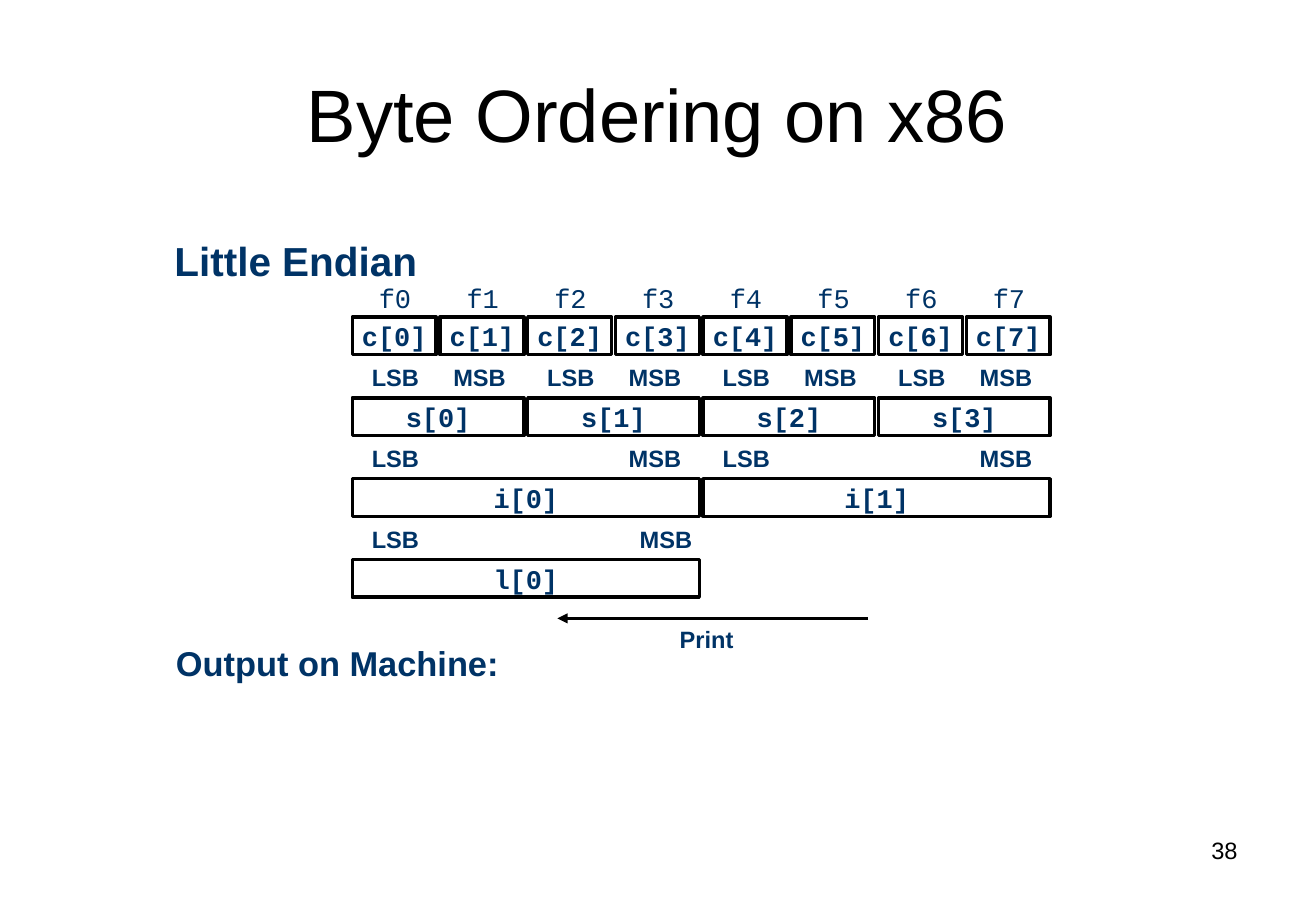
import pptx
import pptx.dml.color
import pptx.enum.shapes
import pptx.enum.text
import pptx.oxml
import pptx.oxml.ns
import pptx.util

Cm, Pt = pptx.util.Cm, pptx.util.Pt
ALIGN = pptx.enum.text.PP_ALIGN
MIDDLE = pptx.enum.text.MSO_ANCHOR.MIDDLE

BLACK = pptx.dml.color.RGBColor(0x00, 0x00, 0x00)
WHITE = pptx.dml.color.RGBColor(0xFF, 0xFF, 0xFF)
NAVY = pptx.dml.color.RGBColor(0x00, 0x33, 0x66)

# Memory grid, in cm
LEFT, TOP = 7.37, 6.63
GRID_WIDTH, BYTES = 14.68, 8
BYTE_PITCH, ROW_PITCH = GRID_WIDTH / BYTES, 1.69
CELL_GAP, CELL_HEIGHT = 0.08, 0.79
LABEL_RISE, LABEL_HEIGHT = 0.85, 0.84

# Name, bytes per element, element count, shift of the MSB label
ROWS = [
    ("c", 1, 8, 0),
    ("s", 2, 4, 0),
    ("i", 4, 2, 0),
    ("l", 4, 1, 0.23),
]

TITLE = {"name": "Arial", "size": Pt(44)}
NUMBER = {"name": "Arial", "size": Pt(14)}
HEADING = {"name": "Arial", "size": Pt(24), "bold": True}
SUBHEADING = {"name": "Arial", "size": Pt(20.4), "bold": True}
LABEL = {"name": "Arial", "size": Pt(14), "bold": True}
ADDRESS = {"name": "Courier New", "size": Pt(16)}
CELL = {"name": "Courier New", "size": Pt(16), "bold": True}


class SlideBuilder:
    def __init__(self, slide):
        self.shapes = slide.shapes
        self.line_width = Pt(2)

    def set_text(self, sp, text, font, color, wrap, anchor=None, **paragraph):
        """Fill a shape with one formatted paragraph."""
        tf = sp.text_frame
        tf.word_wrap = wrap
        if anchor is not None:
            tf.vertical_anchor = anchor
        p = tf.paragraphs[0]
        for key, value in paragraph.items():
            setattr(p, key, value)
        r = p.add_run()
        r.text = text
        for key, value in font.items():
            setattr(r.font, key, value)
        r.font.color.rgb = color

    def text(self, text, x, y, w, h, font, color=NAVY, wrap=True, **layout):
        sp = self.shapes.add_textbox(Cm(x), Cm(y), Cm(w), Cm(h))
        self.set_text(sp, text, font, color, wrap, **layout)

    def cell(self, text, x, y, w):
        sp = self.shapes.add_shape(pptx.enum.shapes.MSO_SHAPE.RECTANGLE,
                                   Cm(x), Cm(y), Cm(w), Cm(CELL_HEIGHT))
        sp.shadow.inherit = False
        sp.fill.solid()
        sp.fill.fore_color.rgb = WHITE
        sp.line.color.rgb = BLACK
        sp.line.width = self.line_width
        self.set_text(sp, text, CELL, NAVY, False, anchor=MIDDLE,
                      alignment=ALIGN.CENTER)

    def arrow(self, x1, y1, x2, y2):
        line = self.shapes.add_connector(
            pptx.enum.shapes.MSO_CONNECTOR.STRAIGHT,
            Cm(x1), Cm(y1), Cm(x2), Cm(y2))
        line.line.color.rgb = BLACK
        line.line.width = self.line_width
        ln = line.element.spPr.find(pptx.oxml.ns.qn("a:ln"))
        ns = pptx.oxml.ns.nsdecls("a")
        ln.append(pptx.oxml.parse_xml(f'<a:tailEnd {ns} type="triangle"/>'))
        ln.addnext(pptx.oxml.parse_xml(f"<a:effectLst {ns}/>"))


def draw_memory(s):
    for i in range(BYTES):
        s.text(f"f{i}", LEFT + i * BYTE_PITCH + 0.17, 5.77, 1.45, 0.91,
               ADDRESS, alignment=ALIGN.CENTER)

    for row, (name, size, count, msb_shift) in enumerate(ROWS):
        y = TOP + row * ROW_PITCH
        for i in range(count):
            x = LEFT + i * size * BYTE_PITCH
            s.cell(f"{name}[{i}]", x, y, size * BYTE_PITCH - CELL_GAP)
            if size == 1:
                continue
            msb_x = x + (size - 1) * BYTE_PITCH + 0.03 + msb_shift
            for label, label_x, w in (("LSB", x + 0.15, 1.5),
                                      ("MSB", msb_x, 1.6)):
                s.text(label, label_x, y - LABEL_RISE, w, LABEL_HEIGHT, LABEL,
                       wrap=False, alignment=ALIGN.RIGHT)


def main():
    prs = pptx.Presentation()
    prs.slide_width, prs.slide_height = Cm(27.53), Cm(19.05)
    s = SlideBuilder(prs.slides.add_slide(prs.slide_layouts[6]))

    s.text("Byte Ordering on x86", 1.37, 0.76, 24.77, 3.18, TITLE, BLACK,
           anchor=MIDDLE, alignment=ALIGN.CENTER)
    s.text("Little Endian", 3.4, 5, 7.85, 1.14, HEADING, line_spacing=0.8)
    draw_memory(s)
    s.arrow(18.16, 12.93, 11.66, 12.93)
    s.text("Print", 13.97, 12.95, 1.63, LABEL_HEIGHT, LABEL, wrap=False)
    s.text("Output on Machine:", 3.43, 13.54, 11, 0.86, SUBHEADING,
           line_spacing=0.7)
    s.text("38", 19.71, 17.35, 6.43, 1.32, NUMBER, BLACK,
           alignment=ALIGN.RIGHT)

    prs.save("out.pptx")


if __name__ == "__main__":
    main()
